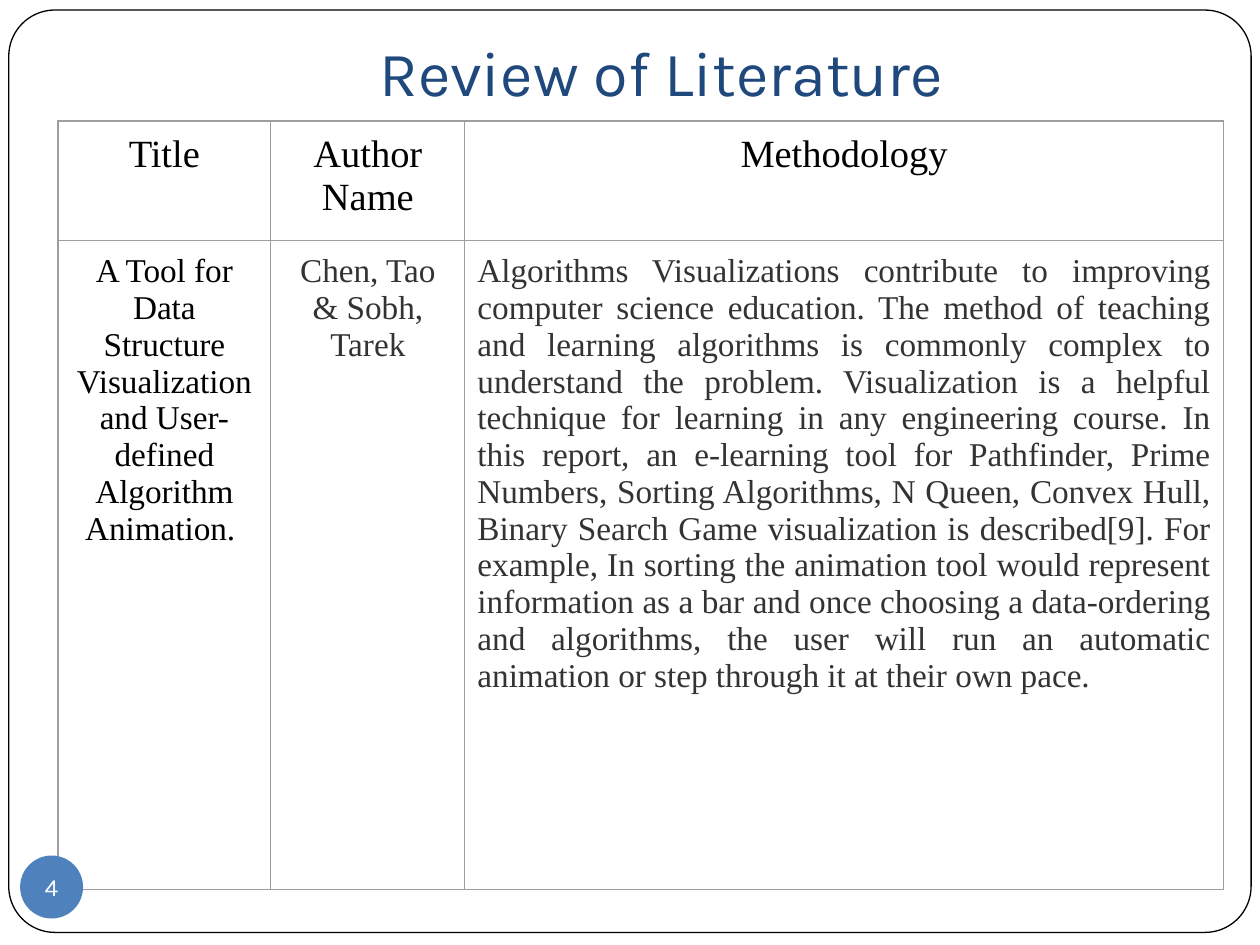
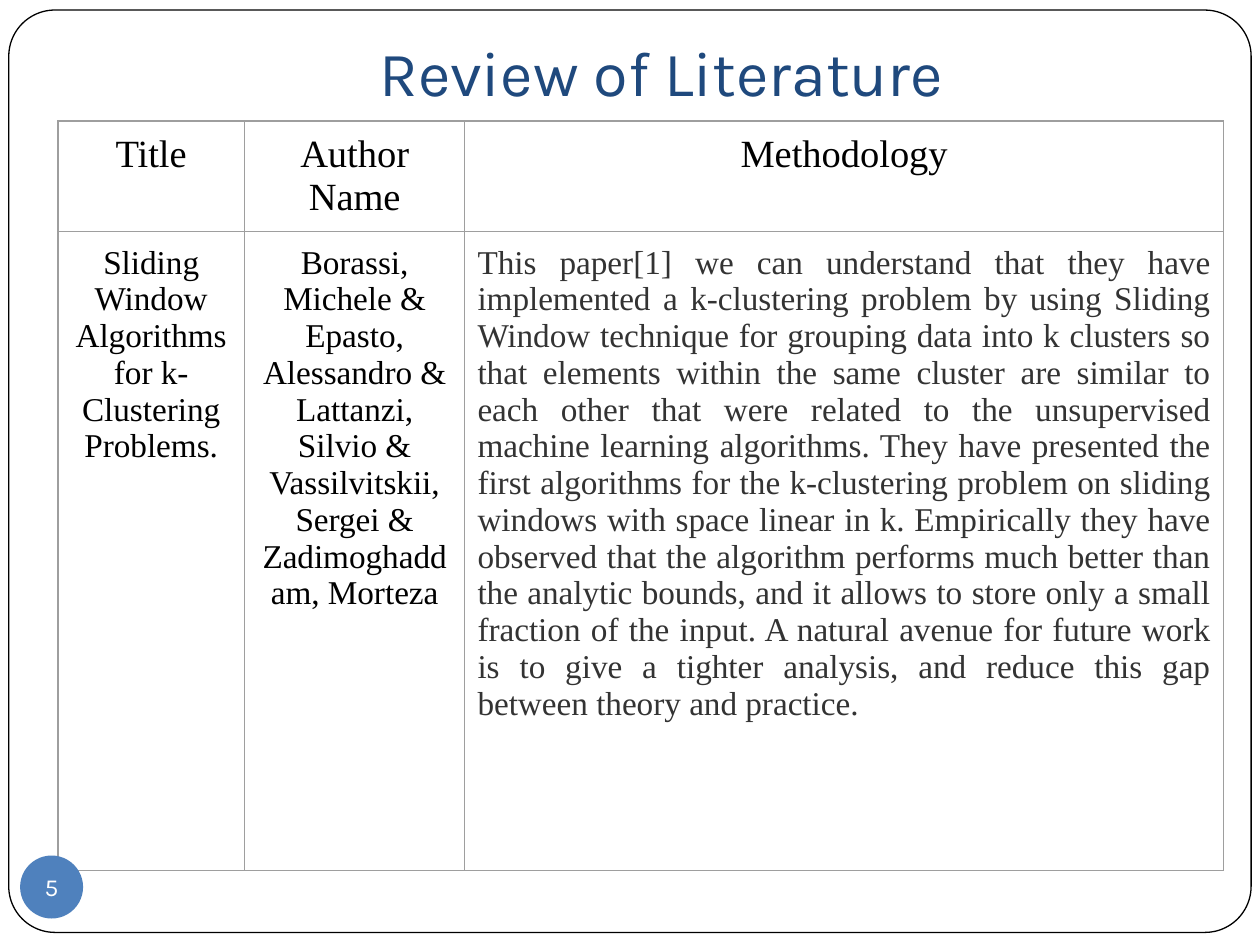
"""Build two literature review slides, each with a table of one paper."""
from lxml.etree import SubElement
from pptx import Presentation
from pptx.dml.color import RGBColor
from pptx.enum.shapes import MSO_SHAPE as SHAPE
from pptx.enum.text import MSO_ANCHOR as ANCHOR, MSO_AUTO_SIZE as AUTO_SIZE, PP_ALIGN as ALIGN
from pptx.oxml.ns import qn
from pptx.util import Inches, Pt

HEADING = "Review of Literature"
HEADERS = ("Title", "Author Name", "Methodology")
REVIEWS = [
    {
        "page": 4,
        "widths": (1.69, 1.54, 6.02),
        "heights": (0.95, 5.15),
        "colors": ("000000", "333333", "333333"),
        "paper": (
            "A Tool for Data Structure Visualization and User-defined Algorithm Animation. ",
            "Chen, Tao & Sobh, Tarek",
            "Algorithms Visualizations contribute to improving computer science education. "
            "The method of teaching and learning algorithms is commonly complex to understand "
            "the problem. Visualization is a helpful technique for learning in any engineering "
            "course. In this report, an e-learning tool for Pathfinder, Prime Numbers, Sorting "
            "Algorithms, N Queen, Convex Hull, Binary Search Game visualization is described[9]. "
            "For example, In sorting the animation tool would represent information as a bar and "
            "once choosing a data-ordering and algorithms, the user will run an automatic "
            "animation or step through it at their own pace. ",
        ),
    },
    {
        "page": 5,
        "widths": (1.48, 1.75, 6.02),
        "heights": (0.88, 5.07),
        "colors": ("000000", "000000", "333333"),
        "paper": (
            "Sliding Window Algorithms for k-Clustering Problems.",
            "Borassi, Michele & Epasto, Alessandro & Lattanzi, Silvio & Vassilvitskii, Sergei "
            "& Zadimoghaddam, Morteza",
            "This paper[1] we can understand that they have implemented a k-clustering problem "
            "by using Sliding Window technique for grouping data into k clusters so that elements "
            "within the same cluster are similar to each other that were related to the "
            "unsupervised machine learning algorithms. They have presented the first algorithms "
            "for the k-clustering problem on sliding windows with space linear in k. Empirically "
            "they have observed that the algorithm performs much better than the analytic bounds, "
            "and it allows to store only a small fraction of the input. A natural avenue for "
            "future work is to give a tighter analysis, and reduce this gap between theory and "
            "practice.",
        ),
    },
]
HEADING_FONT, TABLE_FONT = "Karla", "Times New Roman"
BLUE, BADGE_BLUE, GRID_GREY = "1F497D", "4F81BD", "9E9E9E"
BLACK, WHITE = "000000", "FFFFFF"
ALIGNMENTS = (ALIGN.CENTER, ALIGN.CENTER, ALIGN.JUSTIFY)


def rgb(color):
    return RGBColor.from_string(color)


def set_margins(target, left, top, right, bottom):
    target.margin_left, target.margin_top = Inches(left), Inches(top)
    target.margin_right, target.margin_bottom = Inches(right), Inches(bottom)


def write(frame, text, size, font, color, align=ALIGN.CENTER):
    frame.text = text
    paragraph = frame.paragraphs[0]
    paragraph.alignment = align
    paragraph.font.size, paragraph.font.name = Pt(size), font
    paragraph.font.bold = False
    paragraph.font.color.rgb = rgb(color)
    return paragraph


def add_plain_shape(slide, kind, box, fill):
    shape = slide.shapes.add_shape(kind, *map(Inches, box))
    shape.shadow.inherit = False
    shape.fill.solid()
    shape.fill.fore_color.rgb = rgb(fill)
    return shape


def move_border_to_layout(slide):
    border = add_plain_shape(slide, SHAPE.ROUNDED_RECTANGLE, (0.07, 0.08, 9.86, 7.32), WHITE)
    border.adjustments[0] = 0.05
    border.line.color.rgb = rgb(BLACK)
    border.line.width = Pt(0.75)
    border._element.nvSpPr.cNvPr.set("id", "20")
    slide.slide_layout.shapes._spTree.insert(2, border._element)


def add_heading(slide):
    heading = slide.shapes.title
    heading.left, heading.top, heading.width, heading.height = map(Inches, (1, 0.3, 8.5, 0.67))
    frame = heading.text_frame
    frame.auto_size, frame.vertical_anchor = AUTO_SIZE.NONE, ANCHOR.BOTTOM
    set_margins(frame, 0.1, 0.05, 0.1, 0.1)
    write(frame, HEADING, 36, HEADING_FONT, BLUE)


def draw_cell_borders(cell):
    properties = cell._tc.get_or_add_tcPr()
    for position, side in enumerate(("lnL", "lnR", "lnT", "lnB")):
        edge = SubElement(properties, qn(f"a:{side}"), w=str(Pt(0.75)))
        SubElement(SubElement(edge, qn("a:solidFill")), qn("a:srgbClr"), val=GRID_GREY)
        properties.insert(position, edge)


def add_review_table(slide, review):
    widths, heights = review["widths"], review["heights"]
    box = (0.46, 0.96, sum(widths), sum(heights))
    table = slide.shapes.add_table(len(heights), len(widths), *map(Inches, box)).table
    table.first_row = table.horz_banding = False
    for row, height in zip(table.rows, heights):
        row.height = Inches(height)
    for index, width in enumerate(widths):
        table.columns[index].width = Inches(width)
        header, entry = table.cell(0, index), table.cell(1, index)
        for cell in (header, entry):
            cell.fill.background()
            set_margins(cell, 0.1, 0.1, 0.1, 0.1)
            draw_cell_borders(cell)
        write(header.text_frame, HEADERS[index], 22, TABLE_FONT, BLACK)
        text = write(entry.text_frame, review["paper"][index], 19, TABLE_FONT,
                     review["colors"][index], ALIGNMENTS[index])
        text.space_before = Pt(1.2)


def add_page_badge(slide, page):
    badge = add_plain_shape(slide, SHAPE.OVAL, (0.16, 6.79, 0.5, 0.5), BADGE_BLUE)
    badge.line.fill.background()
    set_margins(badge.text_frame, 0, 0, 0, 0)
    badge.text_frame.vertical_anchor = ANCHOR.MIDDLE
    write(badge.text_frame, str(page), 14, HEADING_FONT, WHITE)


def main():
    deck = Presentation()
    deck.slide_width, deck.slide_height = Inches(10), Inches(7.5)
    title_only = deck.slide_layouts[5]
    for review in REVIEWS:
        slide = deck.slides.add_slide(title_only)
        add_heading(slide)
        add_review_table(slide, review)
        add_page_badge(slide, review["page"])
    move_border_to_layout(slide)
    deck.save("out.pptx")


if __name__ == "__main__":
    main()
